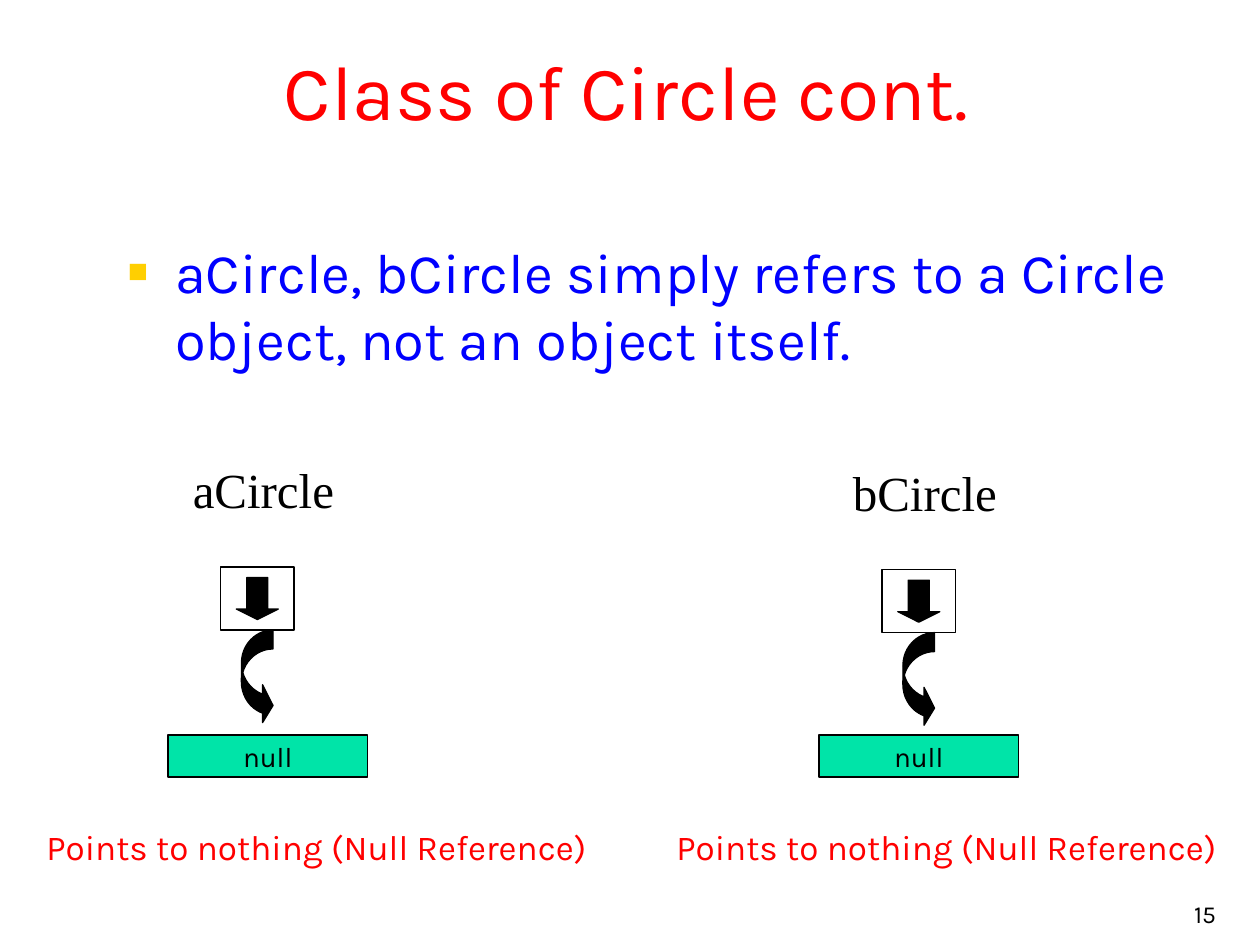
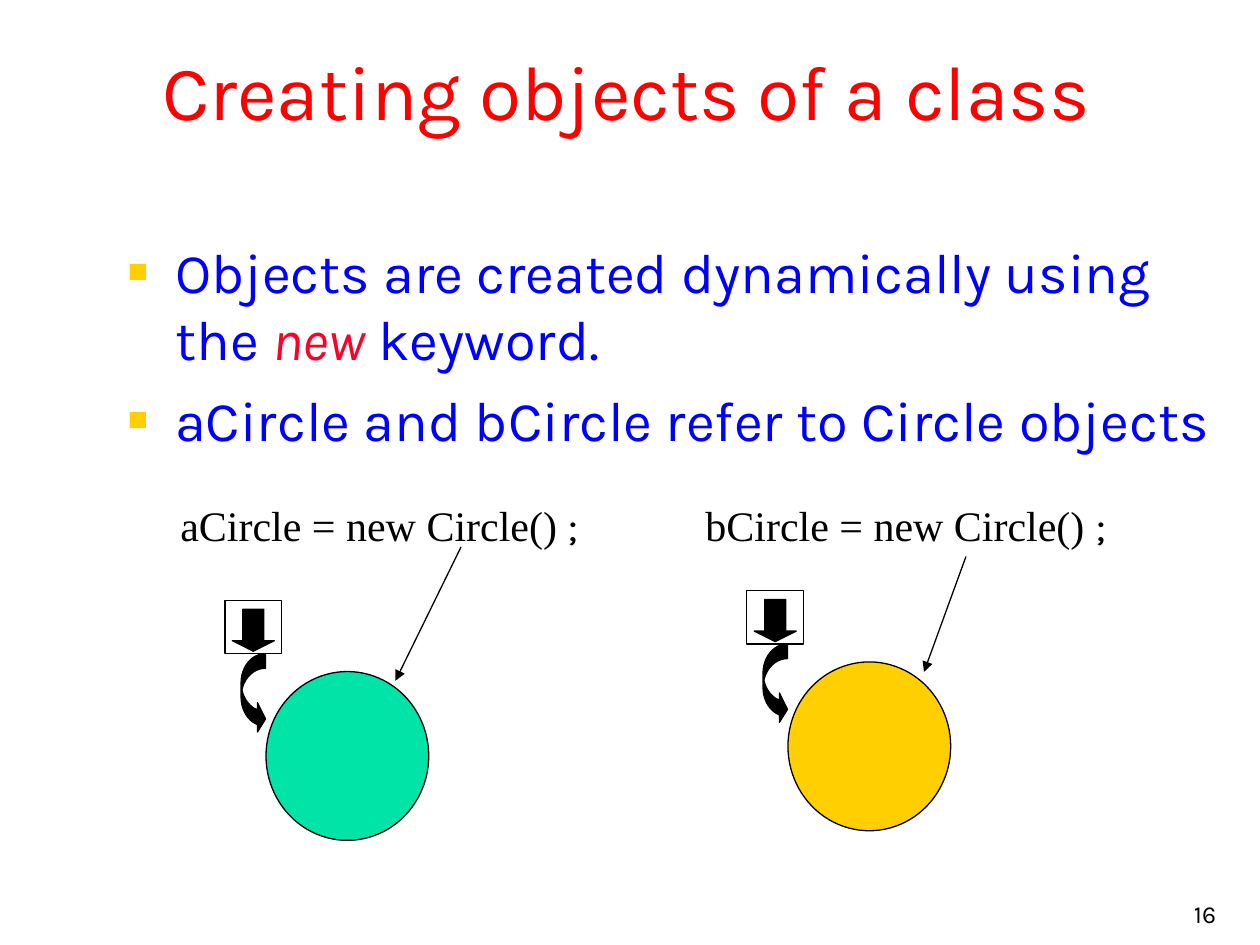
from lxml.etree import SubElement as Sub
from pptx import Presentation
from pptx.dml.color import RGBColor as RGB
from pptx.enum.shapes import MSO_CONNECTOR as LINK, MSO_SHAPE as KIND
from pptx.enum.text import MSO_ANCHOR as ANCHOR, PP_ALIGN as ALIGN
from pptx.oxml.ns import qn
from pptx.util import Pt

HUES = {
    "black": "000000", "white": "FFFFFF", "red": "FF0000", "blue": "0000FF",
    "key": "FC0128", "green": "00E4A8", "gold": "FFCF01",
}
SANS, SERIF = "Karla", "Times New Roman"


def hue(name):
    return RGB.from_string(HUES[name])


def add_run(para, text, size, color="black", font=SANS, slant=None):
    run = para.add_run()
    run.text = text
    run.font.size = Pt(size)
    run.font.name = font
    run.font.color.rgb = hue(color)
    run.font.italic = slant


def set_frame(shape, align, anchor=ANCHOR.TOP, wrap=True):
    """Set the layout of a shape's text and return its first paragraph."""
    frame = shape.text_frame
    frame.word_wrap = wrap
    frame.vertical_anchor = anchor
    para = frame.paragraphs[0]
    para.alignment = align
    return para


def add_box(slide, rect):
    return slide.shapes.add_textbox(*map(Pt, rect))


def add_form(slide, kind, rect, fill=None, line="black"):
    form = slide.shapes.add_shape(kind, *map(Pt, rect))
    form.shadow.inherit = False
    if fill:
        form.fill.solid()
        form.fill.fore_color.rgb = hue(fill)
    else:
        form.fill.background()
    form.line.color.rgb = hue(line)
    form.line.width = Pt(0.75)
    return form


def add_label(slide, rect, text, size, color="black", font=SANS):
    para = set_frame(add_box(slide, rect), ALIGN.CENTER, wrap=False)
    add_run(para, text, size, color, font)


def add_bullet(para):
    para.space_before = Pt(8)
    props = para._p.get_or_add_pPr()
    props.set("marL", str(Pt(27)))
    props.set("indent", str(-Pt(27)))
    Sub(Sub(props, qn("a:buClr")), qn("a:srgbClr"), val=HUES["gold"])
    Sub(props, qn("a:buSzPct"), val="60000")
    Sub(props, qn("a:buFont"), typeface=SERIF)
    Sub(props, qn("a:buChar"), char="■")


def add_body(slide, points):
    """Add bullets; each point is a list of (text, color, slant) runs."""
    box = add_box(slide, (66, 132, 636, 350.5))
    para = set_frame(box, ALIGN.LEFT)
    for i, runs in enumerate(points):
        if i:
            para = box.text_frame.add_paragraph()
        add_bullet(para)
        for text, color, slant in runs:
            add_run(para, text, 32, color, slant=slant)


def add_page(deck, title, number):
    """Add a slide with the shared title and page number."""
    slide = deck.slides.add_slide(deck.slide_layouts[6])
    para = set_frame(add_box(slide, (552, 498, 150, 36)),
                     ALIGN.RIGHT, ANCHOR.BOTTOM)
    add_run(para, str(number), 14)
    head = add_box(slide, (12, 12.5, 692.5, 78))
    head.fill.solid()
    head.fill.fore_color.rgb = hue("white")
    add_run(set_frame(head, ALIGN.CENTER, ANCHOR.MIDDLE), title, 44, "red")
    return slide


def add_ref(slide, x, y, wide, high):
    """Add a reference cell with its arrow and the curved arrow below it."""
    add_form(slide, KIND.RECTANGLE, (x, y, wide, high), "white")
    curve = add_form(slide, KIND.CURVED_RIGHT_ARROW,
                     (x + 0.285 * wide, y + high, 0.43 * wide, 1.5 * high),
                     "black")
    for i, ratio in enumerate((0.6, 1.2, 0.33)):
        curve.adjustments[i] = ratio
    down = add_form(slide, KIND.DOWN_ARROW,
                    (x + (wide - 24) / 2, y + high / 6, 24, 24), "black")
    down.adjustments[0], down.adjustments[1] = 0.5, 0.25


def add_null(slide, x):
    bar = add_form(slide, KIND.RECTANGLE, (x, 420, 114, 24), "green")
    para = set_frame(bar, ALIGN.CENTER, ANCHOR.MIDDLE, wrap=False)
    add_run(para, "null", 16)


def add_code(slide, x, wide, name):
    box = add_form(slide, KIND.RECTANGLE, (x, 282, wide, 36), line="white")
    para = set_frame(box, ALIGN.LEFT)
    add_run(para, f"{name} = new Circle() ", 24, font=SERIF)
    add_run(para, ";", 24)


def add_arrow(slide, start, end):
    link = slide.shapes.add_connector(LINK.STRAIGHT, *map(Pt, start + end))
    link.line.color.rgb = hue("black")
    link.line.width = Pt(0.75)
    Sub(link.line._get_or_add_ln(), qn("a:tailEnd"), type="triangle")
    Sub(link._element.spPr, qn("a:effectLst"))


def add_nulls(deck):
    slide = add_page(deck, "Class of Circle cont.", 15)
    add_body(slide, [[("aCircle, bCircle simply refers to a Circle object, "
                       "not an object itself.", "blue", None)]])
    sides = (("aCircle", 126, 324, 96, 15), ("bCircle", 504, 325.5, 468, 375))
    for name, x, y, bar, note in sides:
        add_label(slide, (x - 27.5, y - 65, 104, 41), name, 28, font=SERIF)
        add_ref(slide, x, y, 42, 36)
        add_null(slide, bar)
        add_label(slide, (note, 468, 332, 32),
                  "Points to nothing (Null Reference)", 20, "red")


def add_news(deck):
    slide = add_page(deck, "Creating objects of a class", 16)
    add_body(slide, [
        [("Objects are created dynamically using the ", "blue", None),
         ("new", "key", True), (" keyword.", "blue", False)],
        [("aCircle and bCircle refer to Circle objects", "blue", None)],
    ])
    add_code(slide, 96, 252, "aCircle")
    add_code(slide, 396, 306, "bCircle")
    sides = ((128.5, 343, "green", (263.5, 312.5), (226, 389)),
             (426.75, 337.5, "gold", (552, 318), (528, 384)))
    for x, y, color, start, end in sides:
        add_ref(slide, x, y, 32.5, 30.5)
        add_form(slide, KIND.OVAL, (x + 23.5, y + 40.75, 93, 96.5), color)
        add_arrow(slide, start, end)


def main():
    deck = Presentation()
    deck.slide_width, deck.slide_height = Pt(720), Pt(540)
    add_nulls(deck)
    add_news(deck)
    deck.save("out.pptx")


if __name__ == "__main__":
    main()
